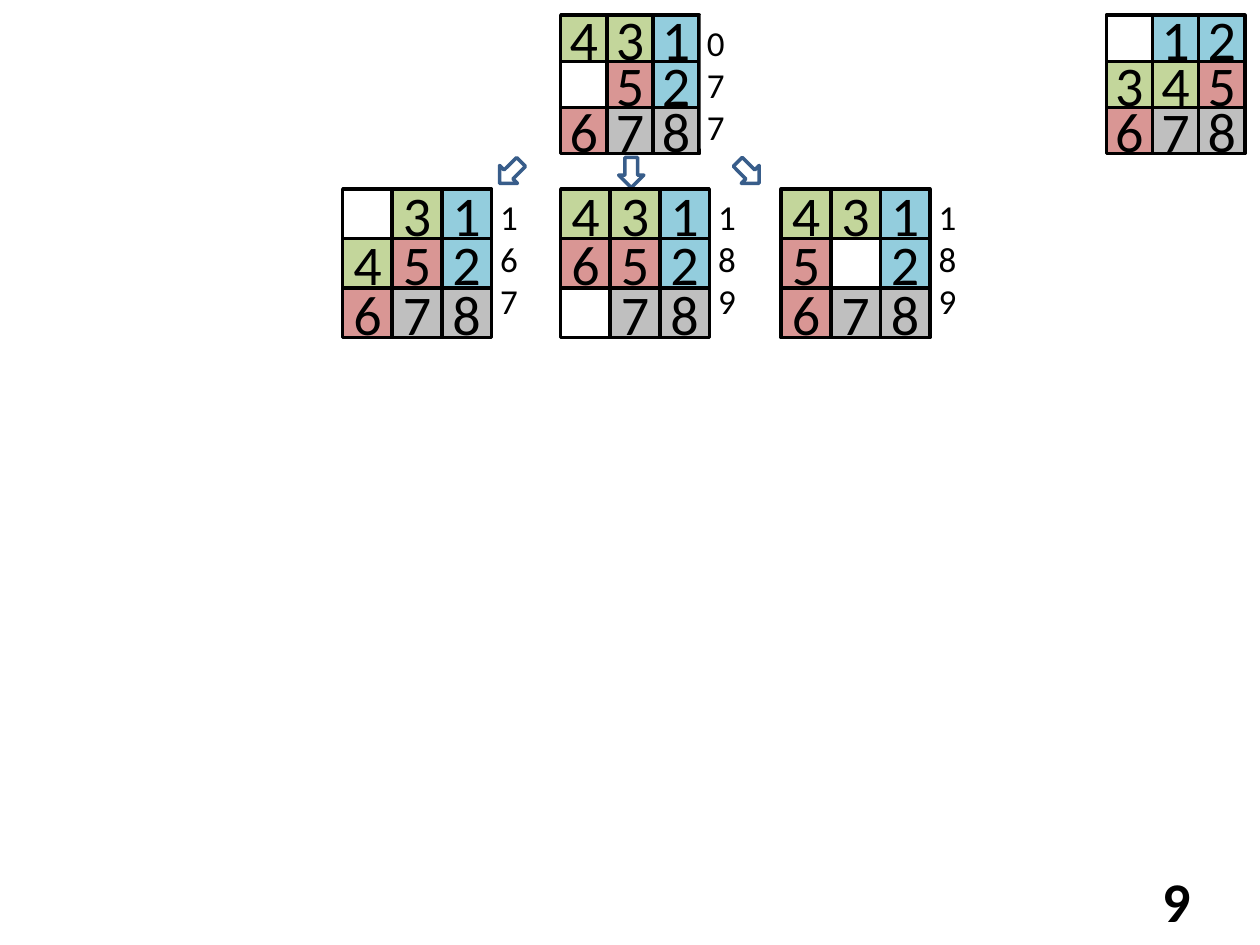
from dataclasses import dataclass

from pptx import Presentation
from pptx import util as u
from pptx.dml.color import RGBColor
from pptx.enum import shapes, text

COLORS = {
    "blue": "93CDDD",
    "green": "C3D69B",
    "red": "D99694",
    "gray": "BFBFBF",
    "white": "FFFFFF",
    "black": "000000",
    "arrow": "385D8A",
}
TILE_COLORS = dict(zip(
    "12345678",
    ["blue", "blue", "green", "green", "red", "red", "gray", "gray"],
))
LABEL_HEIGHT = 0.61
ARROW_TOP, ARROW_WIDTH, ARROW_HEIGHT = 1.27, 0.24, 0.2


@dataclass
class Board:
    left: float
    top: float
    side: float
    cells: str
    stacking: str
    scores: str = ""
    score_left: float = 0
    score_width: float = 0.44


@dataclass
class Arrow:
    left: float
    rotation: int


GOAL = Board(8.78, 0.12, 1.1, " 12345678", "12345678 ")
START = Board(4.45, 0.12, 1.1, "431 52678", "12345678 ", "077", 5.56, 0.41)
MOVES = [
    Board(2.72, 1.5, 1.18, " 31452678", "123 56784", "167", 3.92),
    Board(4.45, 1.5, 1.18, "431652 78", "12345 786", "189", 5.65),
    Board(6.2, 1.5, 1.18, "4315 2678", "1234 6785", "189", 7.4),
]
DOWN, DOWN_RIGHT, DOWN_LEFT = Arrow(4.89, 90), Arrow(5.82, 45), Arrow(3.93, 135)


def rgb(name: str) -> RGBColor:
    return RGBColor.from_string(COLORS[name])


def add_box(parent, kind, left: float, top: float, width: float, height: float,
            fill: str, line: str | None = None):
    sp = parent.add_shape(kind, *map(u.Inches, (left, top, width, height)))
    sp.shadow.inherit = False
    sp.fill.solid()
    sp.fill.fore_color.rgb = rgb(fill)
    if line:
        sp.line.color.rgb = rgb(line)
        sp.line.width = u.Pt(2)
    else:
        sp.line.fill.background()
    return sp


def set_text(sp, lines: str, size: int, align, anchor, wrap: bool = True):
    tf = sp.text_frame
    tf.word_wrap = wrap
    tf.auto_size = text.MSO_AUTO_SIZE.SHAPE_TO_FIT_TEXT
    tf.vertical_anchor = anchor
    tf.margin_left = tf.margin_right = u.Inches(0.05)
    tf.margin_top = tf.margin_bottom = u.Inches(0.05)
    tf.text = "\n".join(lines)
    for p in tf.paragraphs:
        p.alignment = align
        p.font.name = "Calibri"
        p.font.size = u.Pt(size)
        p.font.color.rgb = rgb("black")
    return tf


def add_label(parent, digit: str, left: float, top: float, width: float,
              align=text.PP_ALIGN.CENTER, wrap: bool = True):
    sp = parent.add_textbox(*map(u.Inches, (left, top, width, LABEL_HEIGHT)))
    return set_text(sp, digit, 32, align, text.MSO_ANCHOR.MIDDLE, wrap)


def add_board(s, board: Board) -> None:
    group = s.shapes.add_group_shape().shapes
    tile = board.side / 3
    for digit in board.stacking:
        row, col = divmod(board.cells.index(digit), 3)
        left, top = board.left + col * tile, board.top + row * tile
        add_box(group, shapes.MSO_SHAPE.RECTANGLE, left, top, tile, tile,
                TILE_COLORS.get(digit, "white"), "black")
        if digit in TILE_COLORS:
            add_label(group, digit, left, top - (LABEL_HEIGHT - tile) / 2, tile)
    if board.scores:
        sp = add_box(group, shapes.MSO_SHAPE.RECTANGLE, board.score_left, board.top,
                     board.score_width, 1.06, "white")
        set_text(sp, board.scores, 20, text.PP_ALIGN.LEFT, text.MSO_ANCHOR.TOP)


def add_arrow(s, arrow: Arrow) -> None:
    sp = add_box(s.shapes, shapes.MSO_SHAPE.RIGHT_ARROW, arrow.left, ARROW_TOP,
                 ARROW_WIDTH, ARROW_HEIGHT, "white", "arrow")
    sp.rotation = arrow.rotation


def main() -> None:
    prs = Presentation()
    prs.slide_width, prs.slide_height = u.Inches(10), u.Inches(7.5)
    s = prs.slides.add_slide(prs.slide_layouts[6])

    tf = add_label(s.shapes, "9", 9.13, 6.84, 0.37, text.PP_ALIGN.RIGHT, wrap=False)
    p = tf.paragraphs[0]
    p.font.bold = True
    p.space_before = u.Pt(7)

    add_board(s, GOAL)
    add_arrow(s, DOWN)
    for board in [START, *MOVES]:
        add_board(s, board)
    for arrow in (DOWN_RIGHT, DOWN_LEFT):
        add_arrow(s, arrow)

    prs.save("out.pptx")


if __name__ == "__main__":
    main()
